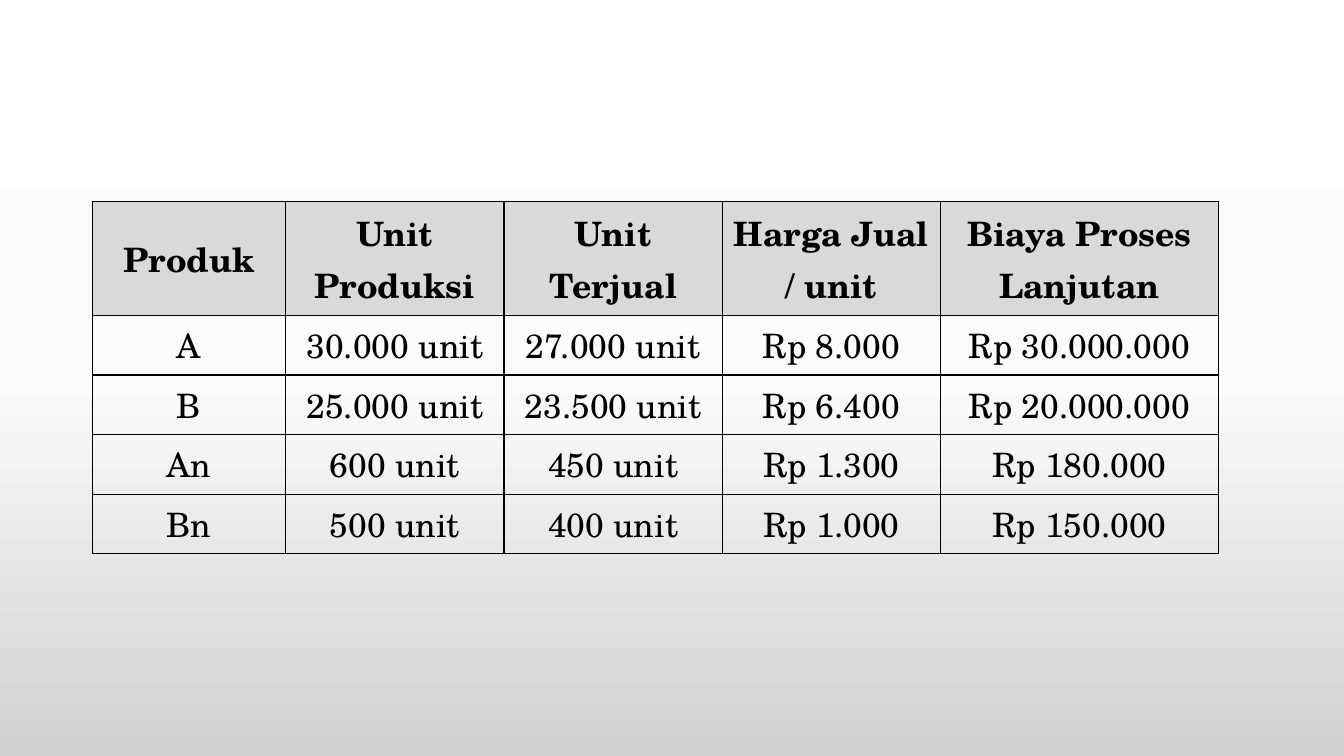
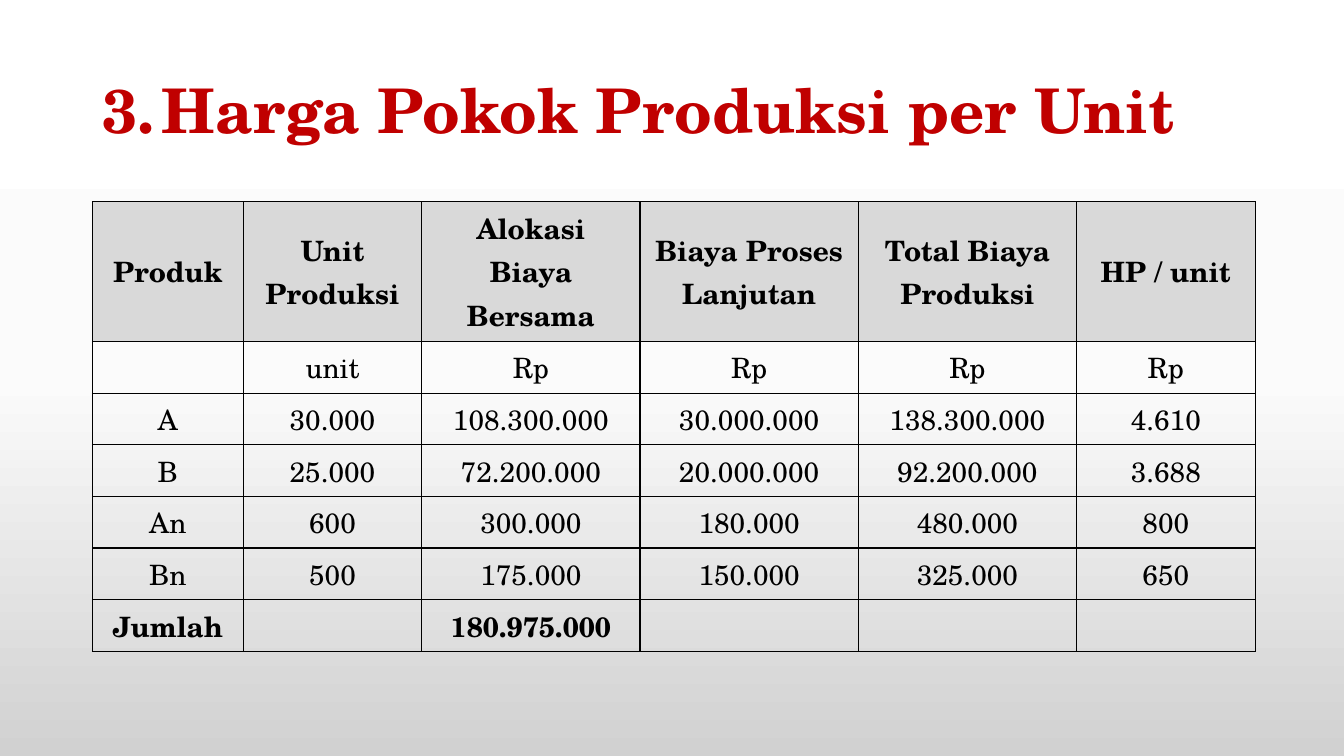
from copy import deepcopy
from dataclasses import dataclass
from typing import Any

from lxml import etree
from pptx import Presentation
from pptx.dml.color import RGBColor
from pptx.enum.text import MSO_ANCHOR, PP_ALIGN
from pptx.oxml.ns import qn
from pptx.util import Cm, Pt

MIDDLE = MSO_ANCHOR.MIDDLE
CENTER = PP_ALIGN.CENTER
BORDER_SIDES = ("a:lnL", "a:lnR", "a:lnT", "a:lnB")


@dataclass(frozen=True)
class Theme:
    font: str = "TeX Gyre Schola"
    text: RGBColor = RGBColor(0x00, 0x00, 0x00)
    title: RGBColor = RGBColor(0xC0, 0x00, 0x00)
    header_fill: RGBColor = RGBColor(0xD9, 0xD9, 0xD9)
    border: str = "000000"
    border_width: Pt = Pt(1)
    title_size: Pt = Pt(44)
    large_table_size: Pt = Pt(24)
    small_table_size: Pt = Pt(20)
    background: tuple[tuple[float, str], ...] = ((0, "FFFFFF"), (0.5, "FBFBFB"), (1, "D1D1D1"))


THEME = Theme()
LEFT = Cm(2.33)
TABLE_TOP = Cm(5.08)
TITLE_INDENT = Cm(1.5)


@dataclass(frozen=True)
class TableSpec:
    rows: list[list[str]]
    column_widths: list[float]
    header_height: float
    row_height: float
    text_size: Pt
    bold_rows: tuple[int, ...] = (0,)


@dataclass(frozen=True)
class SlideSpec:
    table: TableSpec
    title: str = ""
    number: int = 1


SLIDES = [
    SlideSpec(
        TableSpec(
            rows=[
                ["Produk", "Unit Produksi", "Unit Terjual", "Harga Jual / unit",
                 "Biaya Proses Lanjutan"],
                ["A", "30.000 unit", "27.000 unit", "Rp 8.000", "Rp 30.000.000"],
                ["B", "25.000 unit", "23.500 unit", "Rp 6.400", "Rp 20.000.000"],
                ["An", "600 unit", "450 unit", "Rp 1.300", "Rp 180.000"],
                ["Bn", "500 unit", "400 unit", "Rp 1.000", "Rp 150.000"],
            ],
            column_widths=[4.87, 5.5, 5.5, 5.5, 7],
            header_height=2.87,
            row_height=1.5,
            text_size=THEME.large_table_size,
        )
    ),
    SlideSpec(
        TableSpec(
            rows=[
                ["Produk", "Unit Produksi", "Alokasi Biaya Bersama", "Biaya Proses Lanjutan",
                 "Total Biaya Produksi", "HP / unit"],
                ["", "unit", "Rp", "Rp", "Rp", "Rp"],
                ["A", "30.000", "108.300.000", "30.000.000", "138.300.000", "4.610"],
                ["B", "25.000", "72.200.000", "20.000.000", "92.200.000", "3.688"],
                ["An", "600", "300.000", "180.000", "480.000", "800"],
                ["Bn", "500", "175.000", "150.000", "325.000", "650"],
                ["Jumlah", "", "180.975.000", "", "", ""],
            ],
            column_widths=[3.8, 4.5, 5.5, 5.5, 5.5, 4.5],
            header_height=3.53,
            row_height=1.3,
            text_size=THEME.small_table_size,
            bold_rows=(0, 6),
        ),
        title="Harga Pokok Produksi per Unit",
        number=3,
    ),
]


def set_attributes(target: Any, values: dict[str, Any]) -> None:
    for name, value in values.items():
        setattr(target, name, value)


def add_text(paragraph: Any, text: str, size: Pt, color: RGBColor, bold: bool) -> None:
    run = paragraph.add_run()
    run.text = text
    set_attributes(run.font, {"name": THEME.font, "size": size, "bold": bold})
    run.font.color.rgb = color


def set_background(master: Any) -> None:
    """Give every slide the vertical three-stop gradient."""
    fill = master.background.fill
    fill.gradient()
    fill.gradient_angle = 270
    stop_list = master.element.find(".//" + qn("a:gsLst"))
    stop_list.append(deepcopy(stop_list[-1]))
    for stop, (position, color) in zip(fill.gradient_stops, THEME.background):
        stop.position = position
        stop.color.rgb = RGBColor.from_string(color)


def add_borders(cell: Any) -> None:
    properties = cell._tc.get_or_add_tcPr()
    for side in BORDER_SIDES:
        line = etree.SubElement(properties, qn(side), w=str(THEME.border_width))
        fill = etree.SubElement(line, qn("a:solidFill"))
        etree.SubElement(fill, qn("a:srgbClr"), val=THEME.border)


def add_numbered_title(slide: Any, title: str, number: int) -> None:
    frame = slide.shapes.add_textbox(LEFT, Cm(1.02), Cm(29.21), Cm(3.68)).text_frame
    set_attributes(frame, {"word_wrap": True, "vertical_anchor": MIDDLE})
    paragraph = frame.paragraphs[0]
    paragraph.line_spacing = 0.9
    properties = paragraph._p.get_or_add_pPr()
    properties.set("marL", str(TITLE_INDENT))
    properties.set("indent", str(-TITLE_INDENT))
    etree.SubElement(properties, qn("a:buAutoNum"), type="arabicPeriod", startAt=str(number))
    add_text(paragraph, title, THEME.title_size, THEME.title, True)


def add_data_table(slide: Any, spec: TableSpec) -> None:
    heights = [spec.header_height] + [spec.row_height] * (len(spec.rows) - 1)
    table = slide.shapes.add_table(
        len(spec.rows), len(spec.column_widths), LEFT, TABLE_TOP,
        Cm(sum(spec.column_widths)), Cm(sum(heights)),
    ).table
    table.horz_banding = False
    for column, width in zip(table.columns, spec.column_widths):
        column.width = Cm(width)
    for row_index, (row, height) in enumerate(zip(table.rows, heights)):
        row.height = Cm(height)
        for cell, text in zip(row.cells, spec.rows[row_index]):
            cell.vertical_anchor = MIDDLE
            add_borders(cell)
            if row_index == 0:
                cell.fill.solid()
                cell.fill.fore_color.rgb = THEME.header_fill
            else:
                cell.fill.background()
            if text:
                paragraph = cell.text_frame.paragraphs[0]
                paragraph.alignment = CENTER
                add_text(paragraph, text, spec.text_size, THEME.text,
                         row_index in spec.bold_rows)


def main() -> None:
    presentation = Presentation()
    set_attributes(presentation, {"slide_width": Cm(33.87), "slide_height": Cm(19.05)})
    set_background(presentation.slide_master)
    blank_layout = presentation.slide_layouts[6]
    for spec in SLIDES:
        slide = presentation.slides.add_slide(blank_layout)
        if spec.title:
            add_numbered_title(slide, spec.title, spec.number)
        add_data_table(slide, spec.table)
    presentation.save("out.pptx")


if __name__ == "__main__":
    main()
